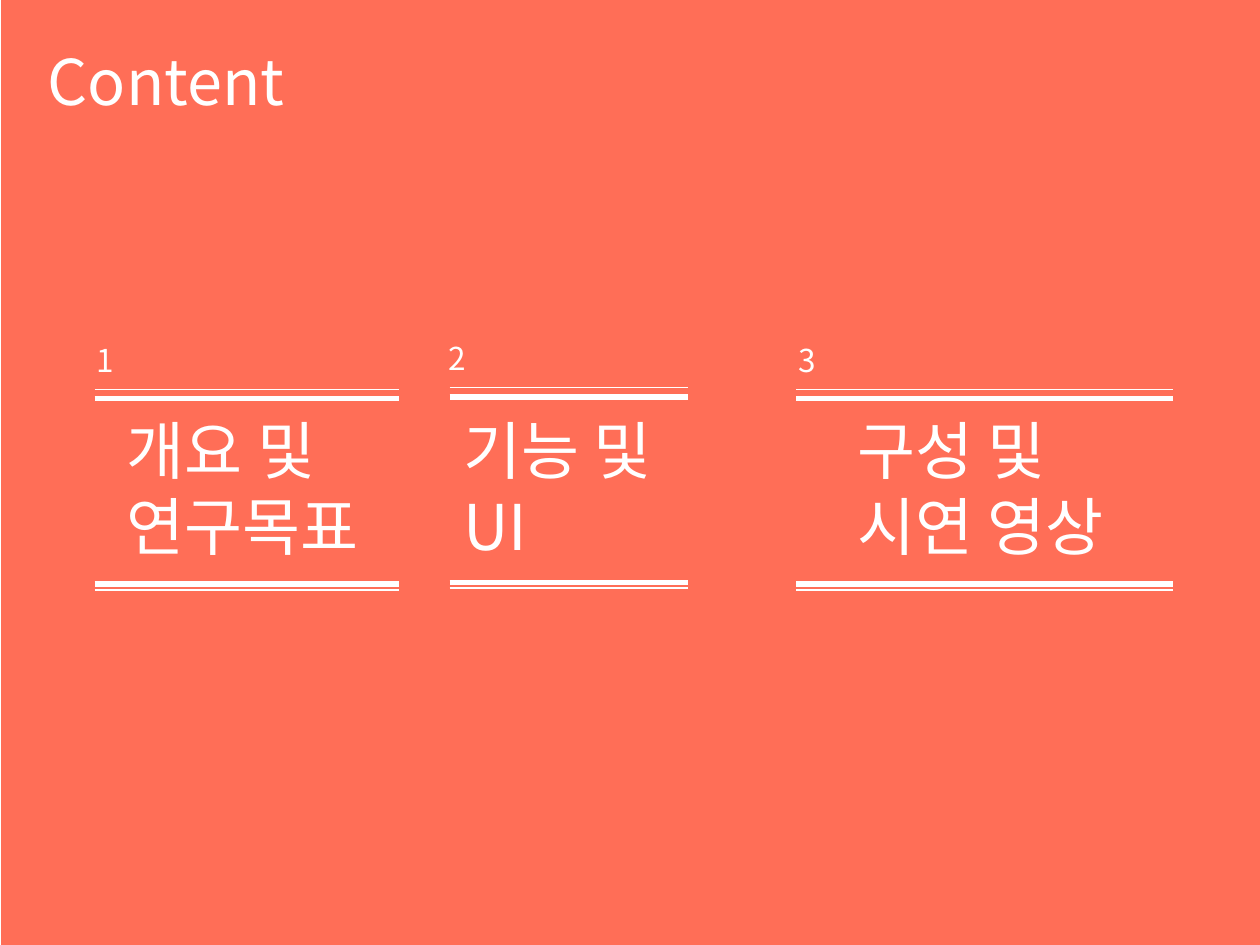
from lxml.etree import SubElement
from pptx import Presentation
from pptx.dml.color import RGBColor
from pptx.enum.shapes import MSO_CONNECTOR as CONN, MSO_SHAPE as SHAPE
from pptx.enum.text import MSO_AUTO_SIZE as AUTO
from pptx.oxml.ns import qn
from pptx.util import Pt

FONT = "Noto Sans CJK KR"
WHITE = "FFFFFF"
CORAL = "FF6E57"
THIN, THICK = 0.75, 3
RULES = [(0, THIN), (5.2, THICK), (111.2, THICK), (114.5, THIN)]
TITLE_TOP, TITLE_HEIGHT = 231.8, 94.3
SECTIONS = [
    ("1", ["개요 및", "연구목표"], 54, 228.2, 222.6, 48.2, 65.5, 158.4),
    ("2", ["기능 및 UI"], 257, 393.1, 221.6, 249.1, 257.8, 162.7),
    ("3", ["구성 및", "시연 영상"], 455, 670.3, 222.6, 449.3, 483.1, 239),
]


def rgb(color):
    return RGBColor.from_string(color)


def add_background(s, color):
    sp = s.shapes.add_shape(SHAPE.RECTANGLE, Pt(0.7), Pt(0), Pt(720), Pt(540))
    sp.shadow.inherit = False
    sp.fill.solid()
    sp.fill.fore_color.rgb = rgb(color)
    sp.line.fill.background()


def add_text(s, lines, x, y, w, h, size):
    tf = s.shapes.add_textbox(Pt(x), Pt(y), Pt(w), Pt(h)).text_frame
    for name, value in dict(word_wrap=True, auto_size=AUTO.SHAPE_TO_FIT_TEXT).items():
        setattr(tf, name, value)
    for i, line in enumerate(lines):
        p = tf.add_paragraph() if i else tf.paragraphs[0]
        r = p.add_run()
        r.text = line
        for name, value in dict(name=FONT, size=Pt(size)).items():
            setattr(r.font, name, value)
        r.font.color.rgb = rgb(WHITE)
        SubElement(r.font._element, qn("a:ea")).set("typeface", FONT)


def add_rule(s, left, right, y, width):
    ln = s.shapes.add_connector(CONN.STRAIGHT, Pt(left), Pt(y), Pt(right), Pt(y))
    ln.line.width = Pt(width)
    ln.line.color.rgb = rgb(WHITE)
    SubElement(ln._element.spPr, qn("a:effectLst"))


def add_section(s, number, lines, left, right, top, number_x, title_x, title_w):
    add_text(s, lines, title_x, TITLE_TOP, title_w, TITLE_HEIGHT, 36)
    for offset, width in RULES:
        add_rule(s, left, right, top + offset, width)
    add_text(s, [number], number_x, top - 31.2, 90.7, 28.8, 18)


def main():
    prs = Presentation()
    prs.slide_width, prs.slide_height = Pt(720), Pt(540)
    s = prs.slides.add_slide(prs.slide_layouts[6])
    add_background(s, CORAL)
    add_text(s, ["Content"], 20.2, 20.9, 244.1, 51.1, 36)
    for section in SECTIONS:
        add_section(s, *section)
    prs.save("out.pptx")


if __name__ == "__main__":
    main()
